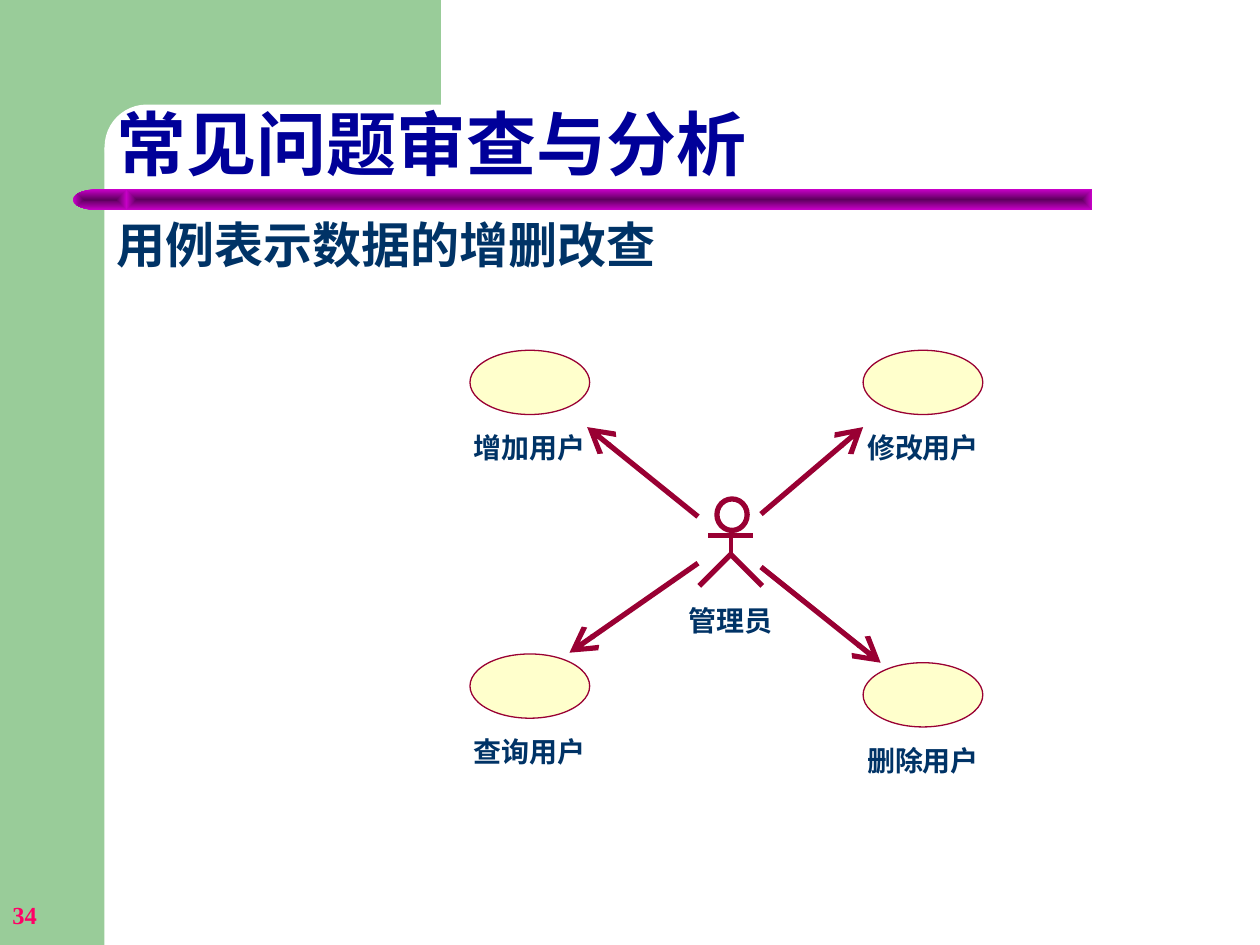
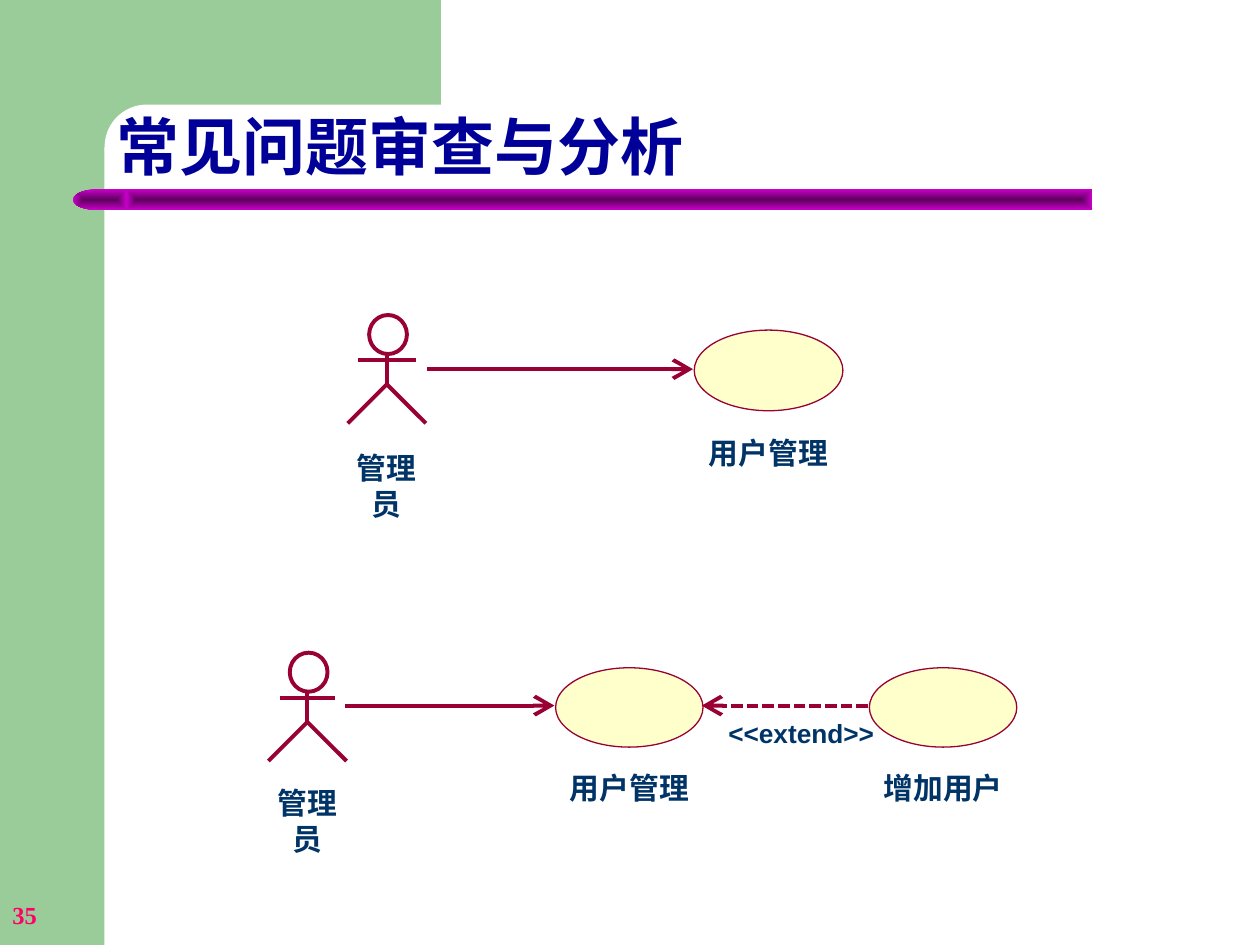
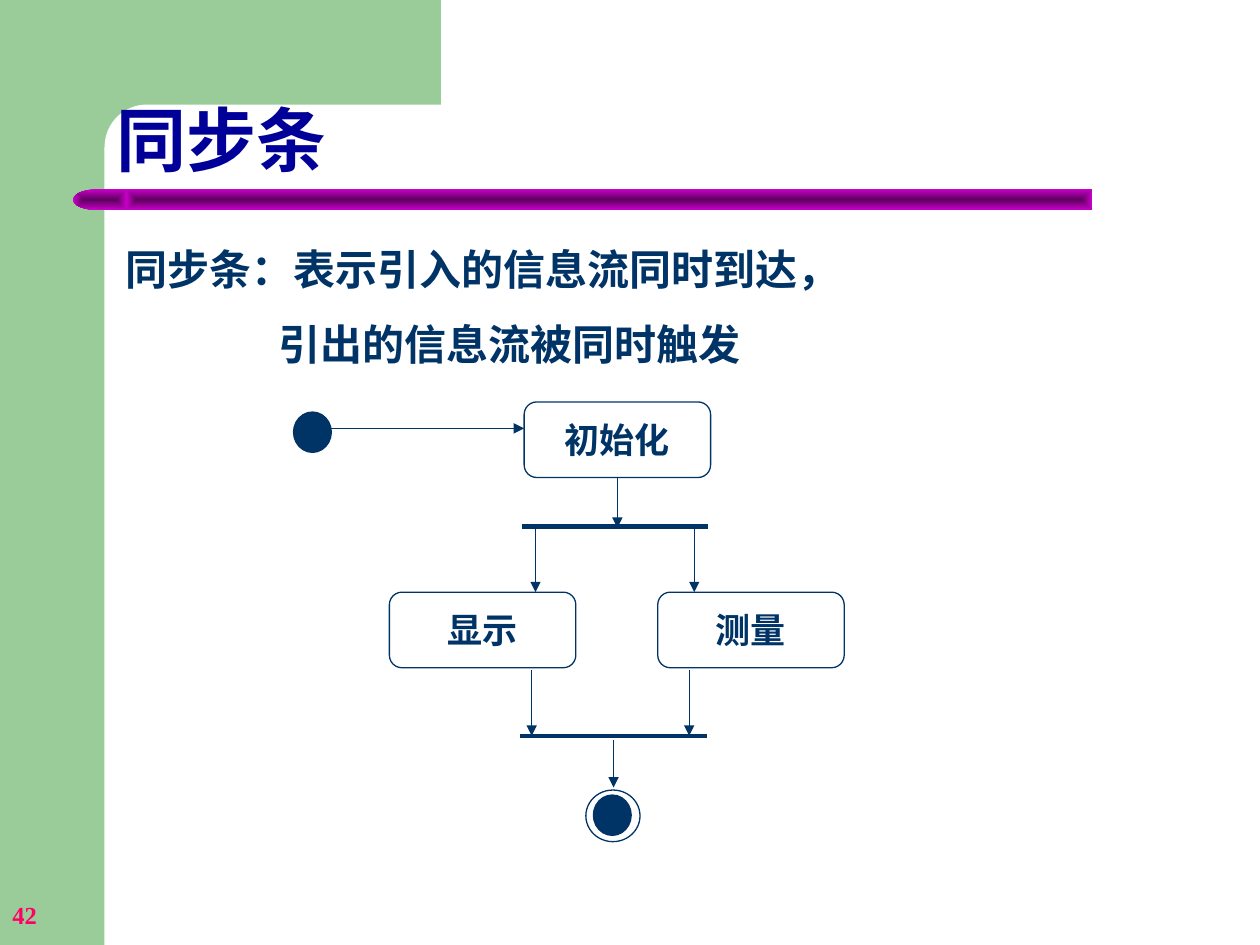
from dataclasses import dataclass

from lxml import etree
from pptx import Presentation
from pptx.dml.color import RGBColor
from pptx.enum.dml import MSO_LINE
from pptx.enum.shapes import MSO_CONNECTOR, MSO_SHAPE
from pptx.enum.text import MSO_ANCHOR, PP_ALIGN
from pptx.oxml.ns import qn
from pptx.util import Pt

PX = 9144  # 100 px to the inch
RECT = MSO_SHAPE.RECTANGLE
ROUND = MSO_SHAPE.ROUNDED_RECTANGLE
DELAY = MSO_SHAPE.FLOWCHART_DELAY
STEP = MSO_SHAPE.FLOWCHART_ALTERNATE_PROCESS
OVAL = MSO_SHAPE.OVAL
STRAIGHT = MSO_CONNECTOR.STRAIGHT
DASH = MSO_LINE.SQUARE_DOT
LEFT, MID = PP_ALIGN.LEFT, PP_ALIGN.CENTER
TOP, CENTRE, BASE = MSO_ANCHOR.TOP, MSO_ANCHOR.MIDDLE, MSO_ANCHOR.BOTTOM


@dataclass(frozen=True)
class Theme:
    green: str = "99CC99"
    white: str = "FFFFFF"
    dark: str = "5E005E"
    bright: str = "CC00CC"
    pink: str = "FF0066"
    blue: str = "000099"
    navy: str = "003366"
    red: str = "990033"
    cream: str = "FFFFCC"
    serif: str = "Times New Roman"
    sans: str = "Arial"
    head: str = "Noto Sans CJK JP"
    han: str = "Noto Sans CJK SC"
    page: int = 14
    tag: int = 15
    small: int = 16
    label: int = 17
    step: int = 20
    note: int = 24
    lead: int = 28
    title: int = 36
    big: int = 40
    hair: float = 0
    thin: float = 0.75
    line: float = 2.25
    bar: float = 2.5
    bold: float = 3


T = Theme()


def put(slide, kind, box, fill=None, edge=None, weight=0, text="", size=0,
        font=T.serif, ink=T.navy, align=LEFT, anchor=TOP, inset=(10, 5),
        wrap=False, gap=None):
    """Add a shape, or a text box where kind is None, with its text."""
    box = [round(n) * PX for n in box]
    if kind is None:
        shape = slide.shapes.add_textbox(*box)
    else:
        shape = slide.shapes.add_shape(kind, *box)
        shape.shadow.inherit = False
        shape.fill.background()
        shape.line.fill.background()
        if fill:
            shape.fill.solid()
            shape.fill.fore_color.rgb = RGBColor.from_string(fill)
        if edge:
            shape.line.color.rgb = RGBColor.from_string(edge)
            shape.line.width = Pt(weight)
    if not text:
        return shape
    frame = shape.text_frame
    frame.word_wrap = wrap
    frame.vertical_anchor = anchor
    frame.margin_left = frame.margin_right = inset[0] * PX
    frame.margin_top = frame.margin_bottom = inset[1] * PX
    for i, words in enumerate(text.split("\n")):
        para = frame.add_paragraph() if i else frame.paragraphs[0]
        para.alignment = align
        if gap:
            para.line_spacing = gap
        run = para.add_run()
        run.text = words
        run.font.size = Pt(size)
        run.font.bold = True
        run.font.color.rgb = RGBColor.from_string(ink)
        run.font.name = font
        east = etree.SubElement(run.font._element, qn("a:ea"))
        east.set("typeface", T.head if font == T.head else T.han)
    return shape


def stroke(slide, ends, ink, weight, tip=None, reach="med"):
    """Add a straight line, with an arrowhead at its end where tip is given."""
    line = slide.shapes.add_connector(STRAIGHT, *[round(n) * PX for n in ends])
    line.line.color.rgb = RGBColor.from_string(ink)
    line.line.width = Pt(weight)
    if tip:
        end = etree.SubElement(line.line._get_or_add_ln(), qn("a:tailEnd"))
        end.set("type", tip)
        end.set("w", reach)
        end.set("len", reach)
    etree.SubElement(line._element.spPr, qn("a:effectLst"))
    return line


deck = Presentation()
deck.slide_width, deck.slide_height = 1000 * PX, 750 * PX

# Frame, title and page number of every slide
pages = []
for page, title, size, top in (
    ("34", "常见问题审查与分析", T.big, 89),
    ("35", "常见问题审查与分析", T.title, 88),
    ("42", "同步条", T.big, 86),
):
    slide = deck.slides.add_slide(deck.slide_layouts[6])
    pages.append(slide)
    put(slide, RECT, (0, 0, 83, 750), T.green)
    put(slide, RECT, (75, 0, 275, 117), T.green)
    put(slide, ROUND, (83, 83, 558, 67), T.white).adjustments[0] = 0.5
    put(slide, None, (0, 701, 208, 50), text=page, size=T.page, ink=T.pink,
        anchor=CENTRE)
    band = put(slide, RECT, (100, 150, 767, 17))
    cap = put(slide, DELAY, (58, 150, 43, 17))
    cap._element.spPr.find(qn("a:xfrm")).set("flipH", "1")
    for part in (band, cap):
        part.fill.gradient()
        for stop, tone in zip(part.fill.gradient_stops, (T.dark, T.bright)):
            stop.color.rgb = RGBColor.from_string(tone)
            stop.position = float(tone == T.bright)
        grad = part._element.spPr.find(qn("a:gradFill"))
        grad.remove(grad.find(qn("a:lin")))
        route = etree.SubElement(grad, qn("a:path"))
        route.set("path", "rect")
        focus = etree.SubElement(route, qn("a:fillToRect"))
        for side in "ltrb":
            focus.set(side, "50000")
    put(slide, None, (83, top, 850, 63), text=title, size=size, font=T.head,
        ink=T.blue, anchor=BASE, wrap=True, gap=0.9)

crud, extend, sync = pages

# Use cases: ovals with a label below
put(crud, None, (83, 165, 764, 57), text="用例表示数据的增删改查", size=T.lead,
    wrap=True)
for slide, x, y, w, h, drop, size, name in (
    (crud, 685, 526, 95, 51, 64, T.small, "删除用户"),
    (crud, 685, 278, 95, 51, 64, T.small, "修改用户"),
    (crud, 373, 278, 95, 51, 64, T.small, "增加用户"),
    (crud, 373, 519, 95, 51, 64, T.small, "查询用户"),
    (extend, 551, 262, 118, 64, 83, T.label, "用户管理"),
    (extend, 441, 530, 117, 63, 81, T.label, "用户管理"),
    (extend, 690, 530, 117, 63, 81, T.label, "增加用户"),
):
    put(slide, OVAL, (x, y, w, h), T.cream, T.red, T.hair)
    put(slide, None, (x, y + drop, w, 28), text=name, size=size, font=T.han,
        align=MID, inset=(0, 0))

# Actors: the same stick figure at two scales
for slide, x, y, scale, weight, neck, drop, size in (
    (crud, 580, 396, 0.8, T.bold, T.hair, 83, T.small),
    (extend, 307, 250, 1, T.line, T.line, 107, T.label),
    (extend, 244, 518, 1, T.line, T.line, 105, T.label),
):
    arm, leg = 22.5 * scale, 31 * scale
    hip = y + 55 * scale
    put(slide, OVAL, (x + 1 - 15 * scale, y, 30 * scale, 31 * scale),
        None, T.red, weight)
    stroke(slide, (x, y + 30 * scale, x, hip), T.red, neck)
    bar = y + 36 * scale
    stroke(slide, (x - arm, bar, x + arm, bar), T.red, weight)
    pen = slide.shapes.build_freeform(round(x - leg), round(hip + leg), PX)
    pen.add_line_segments(
        [(x, round(hip)), (round(x + leg), round(hip + leg))], close=False)
    legs = pen.convert_to_shape()
    legs.shadow.inherit = False
    legs.fill.background()
    legs.line.color.rgb = RGBColor.from_string(T.red)
    legs.line.width = Pt(weight)
    put(slide, None, (x - 35, y + drop, 70, 28), text="管理员", size=size,
        font=T.han, align=MID, inset=(0, 0))

for slide, ends, weight in (
    (crud, (604, 450, 699, 526), T.bold),
    (crud, (604, 408, 685, 339), T.bold),
    (crud, (554, 410, 466, 339), T.bold),
    (crud, (554, 447, 452, 518), T.bold),
    (extend, (339, 293, 550, 293), T.line),
    (extend, (274, 560, 440, 560), T.line),
):
    stroke(slide, ends, T.red, weight, "arrow", "lg")
link = stroke(extend, (689, 560, 557, 560), T.red, T.line, "arrow", "lg")
link.line.dash_style = DASH
put(extend, None, (578, 569, 116, 25), text="<<extend>>", size=T.tag,
    font=T.sans, inset=(0, 0))

# Activity flow with two synchronisation bars
note = put(sync, None, (90, 168, 804, 130), size=T.note, wrap=True, gap=1.5,
           text="同步条：表示引入的信息流同时到达，\n引出的信息流被同时触发")
indent = note.text_frame.paragraphs[1]._p.get_or_add_pPr()
indent.set("marL", str(121 * PX))

steps = [
    put(sync, STEP, (x, y, 148, 60), None, T.navy, T.thin, name, T.step,
        align=MID, anchor=CENTRE)
    for x, y, name in ((416, 319, "初始化"), (309, 470, "显示"),
                       (522, 470, "测量"))
]
for x, y in ((414, 418), (413, 584)):
    stroke(sync, (x, y, x + 148, y), T.navy, T.bar)
fork = stroke(sync, (490, 379, 490, 419), T.navy, T.thin, "triangle")
fork.begin_connect(steps[0], 2)
for ends in (
    (425, 418, 425, 470),
    (551, 418, 551, 470),
    (422, 532, 422, 584),
    (547, 532, 547, 584),
    (487, 587, 487, 625),
    (259, 340, 416, 340),
):
    stroke(sync, ends, T.navy, T.thin, "triangle")
for x, y in ((233, 327), (471, 631)):
    put(sync, OVAL, (x, y, 30, 32), T.navy, T.navy, T.thin)
put(sync, OVAL, (465, 627, 43, 41), None, T.navy, T.thin)

deck.save("out.pptx")
